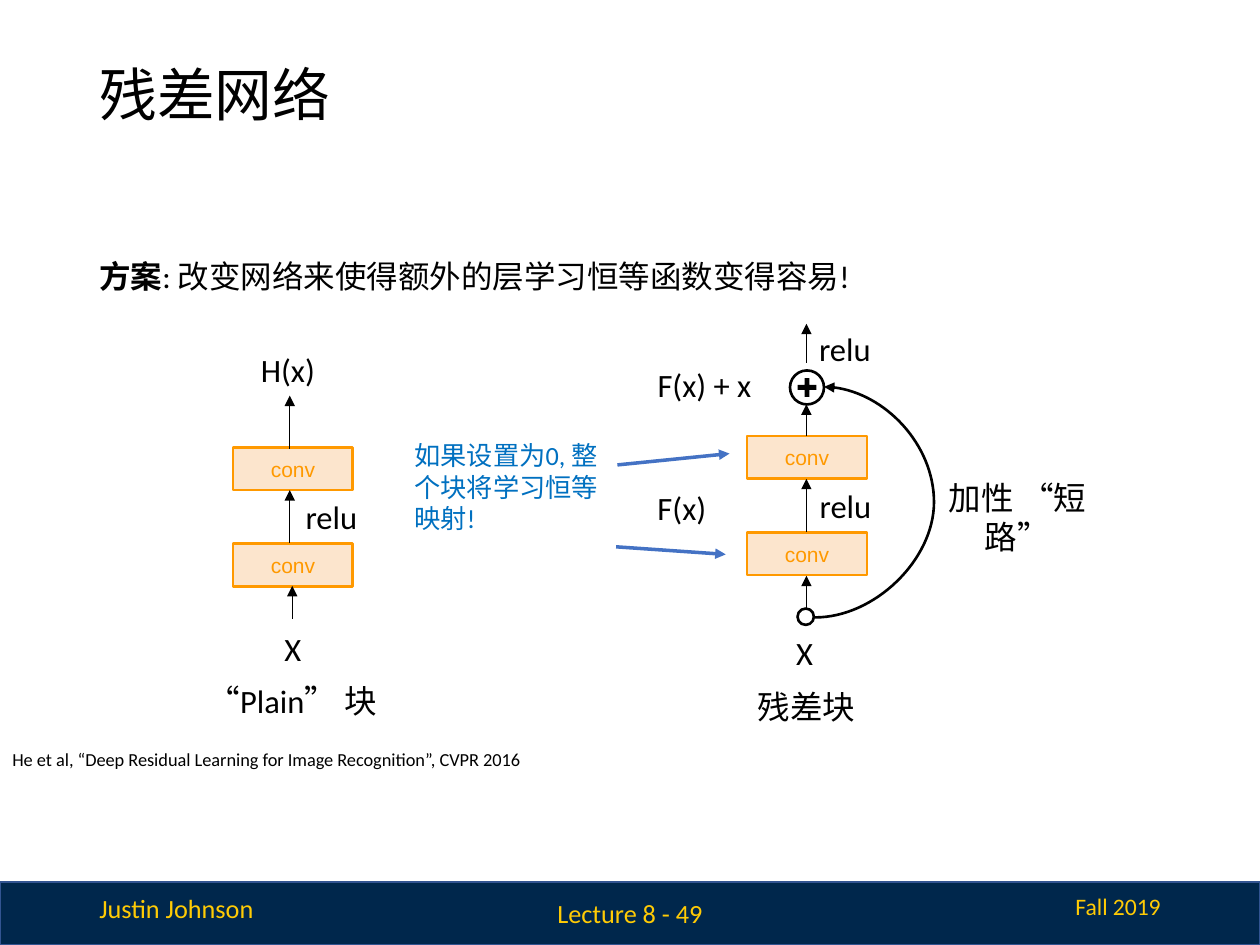
"""Build the residual network slide."""
from dataclasses import dataclass

from lxml.etree import SubElement
from pptx import Presentation
from pptx.dml.color import RGBColor
from pptx.enum.shapes import MSO_CONNECTOR, MSO_SHAPE
from pptx.enum.text import MSO_ANCHOR, PP_ALIGN
from pptx.oxml.ns import qn
from pptx.util import Inches, Pt

WIDE, HIGH = Inches(10), Inches(7.5)
COLS = 100
CELL = WIDE // COLS


@dataclass(frozen=True)
class Theme:
    """Hold the colours, fonts and type sizes."""
    ink: str = "000000"
    navy: str = "00274C"
    edge: str = "325491"
    gold: str = "FFCB05"
    peach: str = "FCE5CD"
    orange: str = "FF9900"
    blue: str = "0070C0"
    arrow: str = "4472C4"
    face: str = "Calibri"
    plain: str = "Arial"
    title: float = 33
    body: float = 18
    label: float = 18.6
    note: float = 15
    date: float = 13.5
    conv: float = 12
    cite: float = 10.5


T = Theme()
LEFT, MID, RIGHT = PP_ALIGN.LEFT, PP_ALIGN.CENTER, PP_ALIGN.RIGHT


def grid(*cells):
    """Turn grid columns and rows into lengths."""
    return [round(n * CELL) for n in cells]


def write(shape, text, size, color=T.ink, face=T.face, align=LEFT,
          middle=False, pad=0.5, wrap=True, lead=""):
    """Fill a shape with one paragraph, with an optional bold lead."""
    frame = shape.text_frame
    frame.word_wrap = wrap
    frame.margin_left = frame.margin_right = CELL
    frame.margin_top = frame.margin_bottom = round(pad * CELL)
    frame.vertical_anchor = MSO_ANCHOR.MIDDLE if middle else MSO_ANCHOR.TOP
    para = frame.paragraphs[0]
    para.alignment = align
    font = para.font
    font.size, font.name = Pt(size), face
    font.color.rgb = RGBColor.from_string(color)
    if lead:
        run = para.add_run()
        run.text, run.font.bold = lead, True
    para.add_run().text = text
    return para


def text(slide, box, words, size, **style):
    """Add a text box."""
    return write(slide.shapes.add_textbox(*grid(*box)), words, size, **style)


def label(slide, box, words, align=MID, middle=False):
    """Add a diagram label."""
    text(slide, box, words, T.label, align=align, middle=middle, pad=1)


def form(slide, kind, box, fill=None, line=None, width=1.5):
    """Add a preset shape with flat paint."""
    shape = slide.shapes.add_shape(kind, *grid(*box))
    shape.shadow.inherit = False
    if fill:
        shape.fill.solid()
        shape.fill.fore_color.rgb = RGBColor.from_string(fill)
    else:
        shape.fill.background()
    if line:
        shape.line.color.rgb = RGBColor.from_string(line)
        shape.line.width = Pt(width)
    else:
        shape.line.fill.background()
    return shape


def arrow(slide, start, end, color=T.ink, width=0.75,
          kind=MSO_CONNECTOR.STRAIGHT):
    """Add a connector with an arrowhead at its end."""
    link = slide.shapes.add_connector(kind, *grid(*start, *end))
    link.line.color.rgb = RGBColor.from_string(color)
    link.line.width = Pt(width)
    SubElement(link.line._get_or_add_ln(), qn("a:tailEnd"), type="triangle")
    SubElement(link._element.spPr, qn("a:effectLst"))
    return link


def bypass(slide, start, end, bend):
    """Add the curved shortcut around the residual block."""
    link = arrow(slide, start, end, width=1.5, kind=MSO_CONNECTOR.CURVE)
    props = link._element.spPr
    frame = props.find(qn("a:xfrm"))
    frame.attrib.pop("flipV", None)
    frame.set("rot", "10800000")
    frame.set("flipH", "1")
    guides = props.find(qn("a:prstGeom")).find(qn("a:avLst"))
    SubElement(guides, qn("a:gd"), name="adj1", fmla=f"val {bend * 1000:.0f}")


def block(slide, left, top, axis):
    """Add two stacked conv layers, the arrow between them and its relu."""
    for row in (top, top + 7.65):
        box = form(slide, MSO_SHAPE.RECTANGLE, (left, row, 9.5, 3.4),
                   T.peach, T.orange)
        write(box, "conv", T.conv, color=T.orange, face=T.plain,
              align=MID, middle=True, pad=1)
    arrow(slide, (axis, top + 7.6), (axis, top + 3.4))
    label(slide, (left + 4.25, top + 4.05, 7.1, 2.9), "relu", middle=True)


def plain(slide):
    """Draw the plain block."""
    block(slide, 18.5, 35.5, 23)
    arrow(slide, (23.2, 49.1), (23.2, 46.5))
    arrow(slide, (23, 35.6), (23, 31.4))
    label(slide, (15.2, 53.9, 16, 3.4), "“Plain” 块", middle=True)
    label(slide, (18.9, 48.9, 8.7, 4.3), "X")
    label(slide, (18.5, 26.8, 8.7, 4.3), "H(x)")


def resid(slide):
    """Draw the residual block with its sum node and shortcut."""
    axis = 64
    block(slide, 59.3, 34.6, axis)
    for start, end in ((34.6, 32.1), (48.3, 45.7), (28.8, 25.7)):
        arrow(slide, (axis, start), (axis, end))
    form(slide, MSO_SHAPE.OVAL, (63.3, 48.3, 1.3, 1.3), line=T.ink)
    bypass(slide, (64.7, 49), (65.4, 30.7), 1345.9)
    form(slide, MSO_SHAPE.OVAL, (62.7, 29.4, 2.7, 2.7), line=T.ink)
    plus = form(slide, MSO_SHAPE.CROSS, (63.3, 30, 1.5, 1.5), T.ink)
    plus.adjustments[0] = 0.37
    label(slide, (73.9, 36.9, 13.7, 8), "加性 “短路”")
    label(slide, (51.2, 28, 10.1, 4), "F(x) + x", LEFT)
    label(slide, (51.2, 37.7, 7.3, 5.6), "F(x)", LEFT)
    label(slide, (63.5, 26.2, 7.1, 2.9), "relu", middle=True)
    label(slide, (59.5, 49.2, 8.7, 4.3), "X")
    label(slide, (55.1, 54.1, 17.8, 3.9), "残差块", middle=True)


def footer(slide):
    """Draw the footer band and its three texts."""
    form(slide, MSO_SHAPE.RECTANGLE, (0, 70, COLS, 5), T.navy, T.edge, 1)
    text(slide, (6.9, 70.3, 14.4, 3.5), "Justin Johnson", T.note, color=T.gold)
    text(slide, (73.3, 70.3, 19.8, 3.3), "Fall 2019", T.date,
         color=T.gold, align=RIGHT)
    text(slide, (36.5, 70.5, 27, 4), "Lecture 8 - 49", T.note,
         color=T.gold, align=MID, middle=True)


def main():
    """Build and save the slide."""
    deck = Presentation()
    deck.slide_width, deck.slide_height = WIDE, HIGH
    slide = deck.slides.add_slide(deck.slide_layouts[6])
    footer(slide)
    title = text(slide, (6.9, 4, 86.2, 7.5), "残差网络", T.title, middle=True)
    title.line_spacing = 0.9
    text(slide, (0, 58.9, 43.3, 2.8),
         "He et al, “Deep Residual Learning for Image Recognition”, CVPR 2016",
         T.cite, wrap=False)
    plain(slide)
    resid(slide)
    text(slide, (6.9, 19.9, 87.6, 4),
         ": 改变网络来使得额外的层学习恒等函数变得容易!", T.body, lead="方案")
    text(slide, (31.9, 34.4, 17.9, 8.6),
         "如果设置为0, 整个块将学习恒等映射!", T.note, color=T.blue)
    arrow(slide, (49, 36.9), (57.9, 36), T.arrow, 2)
    arrow(slide, (48.9, 43.4), (57.6, 44), T.arrow, 2)
    deck.save("out.pptx")


if __name__ == "__main__":
    main()
